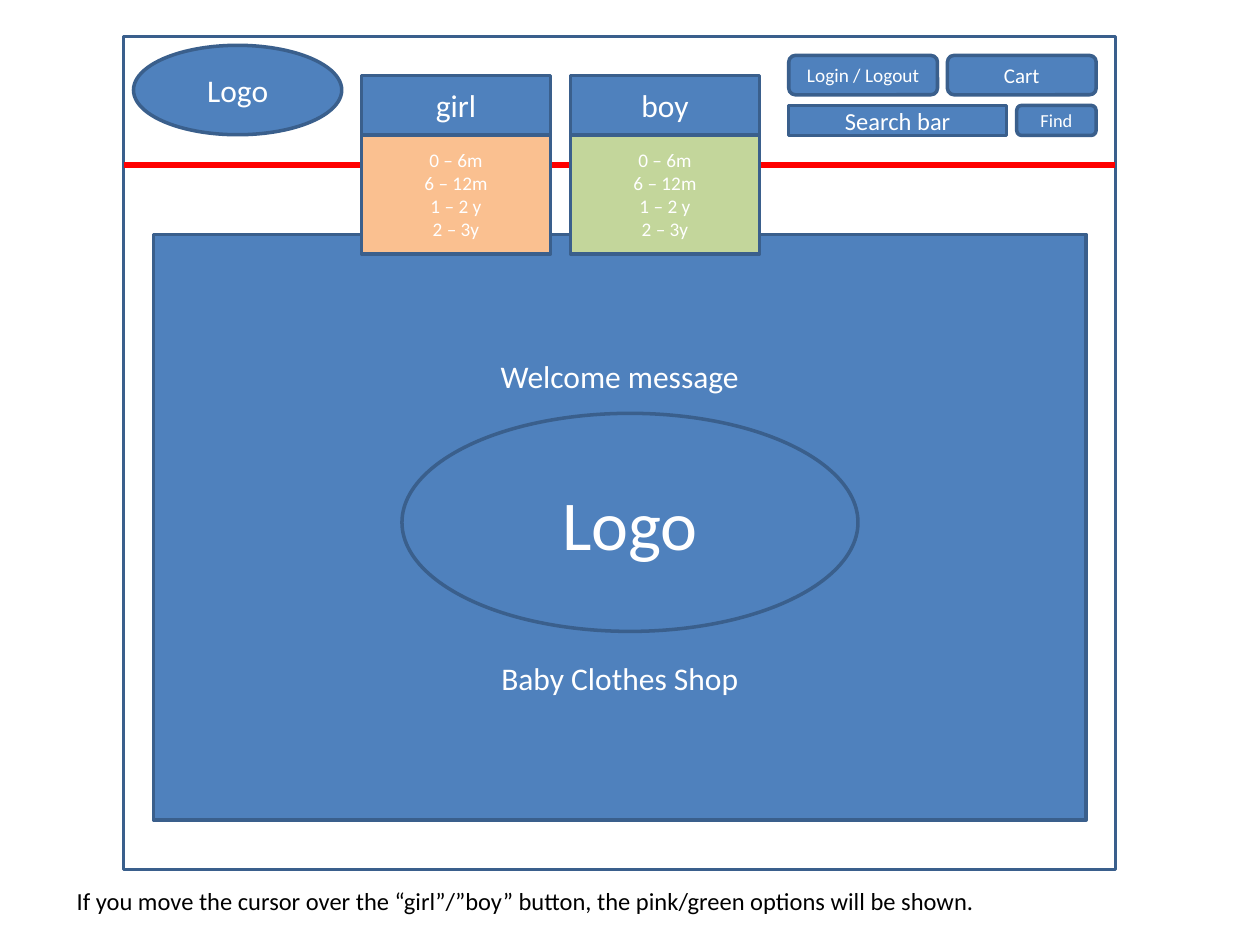
from pptx import Presentation
from pptx.util import Pt
from pptx.dml.color import RGBColor
from pptx.enum.shapes import MSO_SHAPE as Kind, MSO_CONNECTOR as Link
from pptx.enum.text import PP_ALIGN as Align, MSO_ANCHOR as Anchor, MSO_AUTO_SIZE as Fit
from lxml import etree

COLORS = {"blue": "4F81BD", "edge": "3A5F8C", "red": "FF0000", "peach": "FAC090",
          "green": "C3D69B", "white": "FFFFFF", "black": "000000"}
FONT = "Calibri"
RECT, OVAL, ROUND = Kind.RECTANGLE, Kind.OVAL, Kind.ROUNDED_RECTANGLE

# Content
FRAME = (70.6, 20.9, 566.8, 476)
PANEL = (87.8, 133.9, 532.8, 334.8)
WELCOME = ["Welcome message", "Baby Clothes Shop"]
LOGOS = [((76.3, 25.9, 119, 51.1), 18), ((229.7, 236.2, 260.6, 124.6), 40)]
MENUS = [("girl", "peach"), ("boy", "green")]
AGES = ["0 – 6m", "6 – 12m", "1 – 2 y", "2 – 3y"]
TOOLS = [  # label, kind, box, text size
    ("Login / Logout", ROUND, (450.7, 31.7, 85, 22.5), 11),
    ("Cart", ROUND, (541.4, 31.7, 85, 22.5), 12),
    ("Search bar", RECT, (450.7, 60.2, 124.6, 17.2), 14),
    ("Find", ROUND, (581, 60.2, 45.4, 17.2), 10.5),
]
NOTE = ("If you move the cursor over the “girl”/”boy” button, "
        "the pink/green options will be shown.")

# Menu grid
MENU_X, MENU_Y, MENU_W, STEP = 206.6, 43.2, 108, 119.4
HEAD_H, LIST_H = 34, 67.9
RULE_Y = 94.3

deck = Presentation()
deck.slide_width, deck.slide_height = Pt(720), Pt(540)
slide = deck.slides.add_slide(deck.slide_layouts[6])
shapes = slide.shapes


def color(name):
    return RGBColor.from_string(COLORS[name])


def write(frame, lines, size, ink="white", align=Align.CENTER, gap=0):
    frame.word_wrap = True
    for i, line in enumerate(lines):
        par = frame.paragraphs[0] if i == 0 else frame.add_paragraph()
        par.alignment = align
        if i and gap:
            par.space_before = Pt(gap)
        run = par.add_run()
        run.text = line
        run.font.size, run.font.name = Pt(size), FONT
        run.font.color.rgb = color(ink)


def draw(kind, box, lines=(), size=18, fill="blue", gap=0):
    part = shapes.add_shape(kind, *map(Pt, box))
    part.shadow.inherit = False
    if fill:
        part.fill.solid()
        part.fill.fore_color.rgb = color(fill)
    else:
        part.fill.background()
    part.line.color.rgb = color("edge")
    part.line.width = Pt(2)
    part.text_frame.vertical_anchor = Anchor.MIDDLE
    write(part.text_frame, lines, size, gap=gap)


# Page frame, welcome panel and header rule
draw(RECT, FRAME, fill=None)
draw(RECT, PANEL, WELCOME, gap=151)
left, right = FRAME[0], FRAME[0] + FRAME[2]
rule = shapes.add_connector(Link.STRAIGHT, Pt(left), Pt(RULE_Y), Pt(right), Pt(RULE_Y))
rule.line.color.rgb = color("red")
rule.line.width = Pt(3)
props = rule._element.spPr
etree.SubElement(props, "{http://schemas.openxmlformats.org/drawingml/2006/main}effectLst")

# Logos
for box, size in LOGOS:
    draw(OVAL, box, ["Logo"], size)

# Menus with their open lists
for i, (label, fill) in enumerate(MENUS):
    x = MENU_X + i * STEP
    draw(RECT, (x, MENU_Y, MENU_W, HEAD_H), [label])
    draw(RECT, (x, MENU_Y + HEAD_H, MENU_W, LIST_H), AGES, 11, fill)

# Tools at the top right
for label, kind, box, size in TOOLS:
    draw(kind, box, [label], size)

# Note under the page
note = shapes.add_textbox(Pt(36.7), Pt(502.6), Pt(663), Pt(24.2))
write(note.text_frame, [NOTE], 14, "black", Align.LEFT)
note.text_frame.auto_size = Fit.SHAPE_TO_FIT_TEXT

deck.save("out.pptx")
